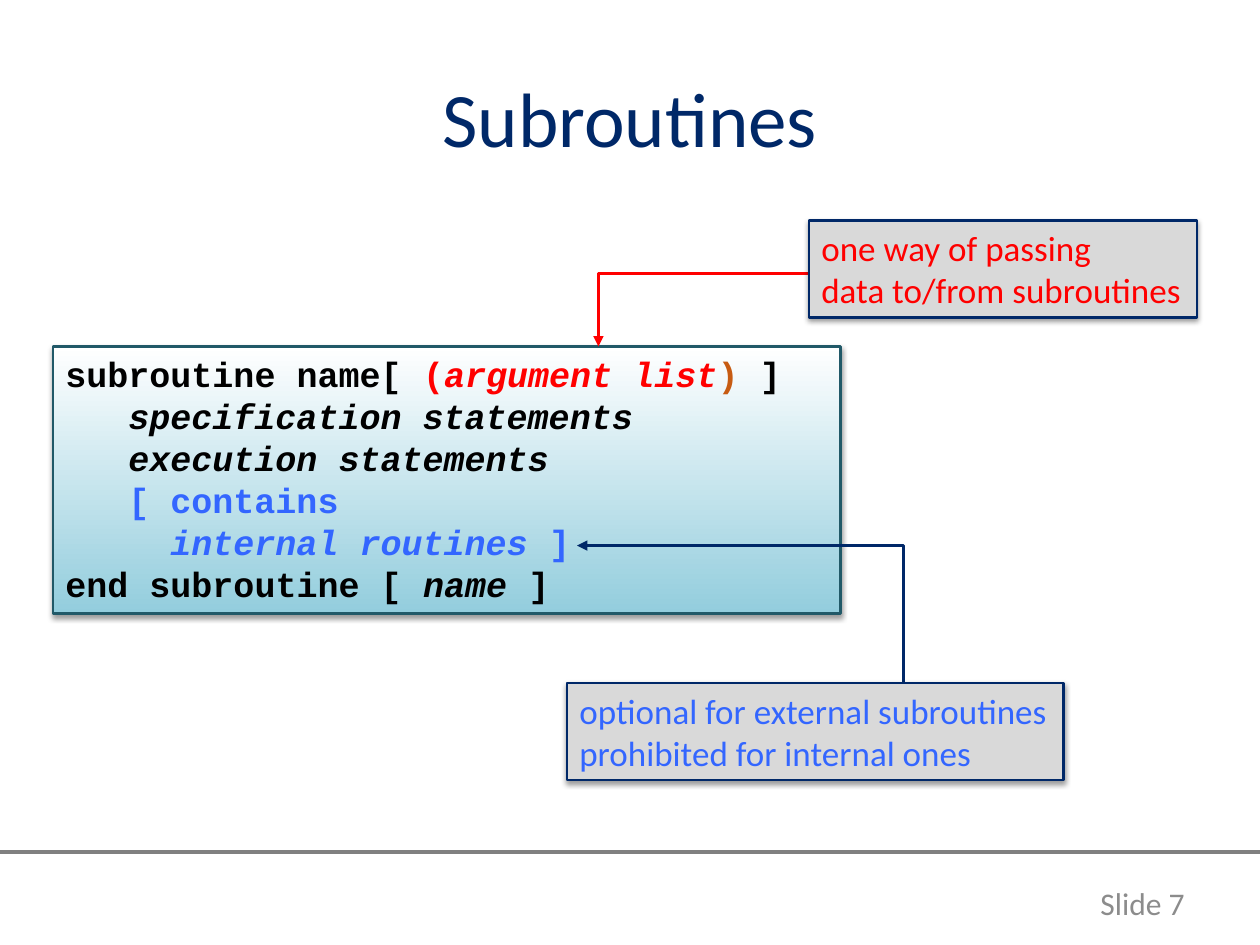
from lxml import etree
from pptx import Presentation
from pptx.dml.color import RGBColor
from pptx.enum.shapes import MSO_CONNECTOR, MSO_SHAPE
from pptx.enum.text import MSO_ANCHOR, MSO_AUTO_SIZE, PP_ALIGN
from pptx.oxml import parse_xml
from pptx.oxml.ns import nsdecls, qn
from pptx.util import Inches, Pt

NAVY = RGBColor(0x00, 0x28, 0x68)
BLACK = RGBColor(0x00, 0x00, 0x00)
WHITE = RGBColor(0xFF, 0xFF, 0xFF)
RED = RGBColor(0xFF, 0x00, 0x00)
ORANGE = RGBColor(0xC7, 0x5B, 0x12)
BLUE = RGBColor(0x33, 0x66, 0xFF)
AQUA = RGBColor(0x93, 0xCD, 0xDD)
TEAL = RGBColor(0x21, 0x59, 0x68)
LIGHT_GRAY = RGBColor(0xD9, 0xD9, 0xD9)
RULE_GRAY = RGBColor(0x80, 0x80, 0x80)
NUMBER_GRAY = RGBColor(0x8C, 0x8C, 0x8C)

BODY_FONT = "Calibri"
CODE_FONT = "Courier New"
CODE_CHAR = 12

CODE_LINES = [
    (0, [("subroutine name[ ", BLACK, False), ("(", RED, False),
         ("argument list", RED, True), (") ", ORANGE, False), ("]", BLACK, False)]),
    (3, [("specification statements", BLACK, True)]),
    (3, [("execution statements", BLACK, True)]),
    (3, [("[ contains", BLUE, False)]),
    (5, [("internal routines", BLUE, True), (" ]", BLUE, False)]),
    (0, [("end subroutine [ ", BLACK, False), ("name", BLACK, True), (" ]", BLACK, False)]),
]


def add_run(paragraph, text, color, size=20, font=BODY_FONT, bold=False, italic=False):
    run = paragraph.add_run()
    run.text = text
    run.font.name = font
    run.font.size = Pt(size)
    run.font.bold = bold
    run.font.italic = italic
    run.font.color.rgb = color


def add_panel(slide, box, line_color):
    panel = slide.shapes.add_shape(MSO_SHAPE.RECTANGLE, *map(Inches, box))
    panel.line.color.rgb = line_color
    panel.line.width = Pt(1.5)
    panel.shadow.inherit = False
    effects = panel._element.spPr.find(qn("a:effectLst"))
    effects.append(parse_xml(
        f'<a:outerShdw {nsdecls("a")} blurRad="{Pt(3.1)}" dist="{Pt(1.6)}" dir="5400000" '
        'rotWithShape="0"><a:srgbClr val="000000"><a:alpha val="38000"/></a:srgbClr></a:outerShdw>'))
    return panel


def write_lines(frame, count):
    frame.vertical_anchor = MSO_ANCHOR.TOP
    for _ in range(count - 1):
        frame.add_paragraph()
    for paragraph in frame.paragraphs:
        paragraph.alignment = PP_ALIGN.LEFT
    return frame.paragraphs


def add_code_panel(slide, box):
    panel = add_panel(slide, box, TEAL)
    panel.fill.gradient()
    panel.fill.gradient_angle = 90
    for stop, color in zip(panel.fill.gradient_stops, (AQUA, WHITE)):
        stop.color.rgb = color
    paragraphs = write_lines(panel.text_frame, len(CODE_LINES))
    for paragraph, (indent, runs) in zip(paragraphs, CODE_LINES):
        properties = paragraph._p.get_or_add_pPr()
        properties.set("marL", str(Pt(indent * CODE_CHAR)))
        properties.set("indent", "0")
        for text, color, italic in runs:
            add_run(paragraph, text, color, font=CODE_FONT, bold=True, italic=italic)
    panel.text_frame.word_wrap = True
    panel.text_frame.auto_size = MSO_AUTO_SIZE.SHAPE_TO_FIT_TEXT


def add_callout(slide, box, lines, color, wrap):
    panel = add_panel(slide, box, NAVY)
    panel.fill.solid()
    panel.fill.fore_color.rgb = LIGHT_GRAY
    for paragraph, text in zip(write_lines(panel.text_frame, len(lines)), lines):
        add_run(paragraph, text, color)
    panel.text_frame.word_wrap = wrap
    panel.text_frame.auto_size = MSO_AUTO_SIZE.SHAPE_TO_FIT_TEXT


def add_elbow_arrow(slide, tip, corner, end, color):
    points = [tuple(map(Inches, point)) for point in (tip, corner, end)]
    builder = slide.shapes.build_freeform(*points[0])
    builder.add_line_segments(points[1:], close=False)
    arrow = builder.convert_to_shape()
    arrow.fill.background()
    arrow.shadow.inherit = False
    arrow.line.color.rgb = color
    arrow.line.width = Pt(1.5)
    etree.SubElement(arrow.line._get_or_add_ln(), qn("a:headEnd"), type="triangle")


def add_title(slide, box):
    title = slide.shapes.title
    title.left, title.top, title.width, title.height = map(Inches, box)
    title.text_frame.vertical_anchor = MSO_ANCHOR.MIDDLE
    paragraph = title.text_frame.paragraphs[0]
    paragraph.alignment = PP_ALIGN.CENTER
    add_run(paragraph, "Subroutines", NAVY, size=44)


def add_footer(slide, rule_top, number_box):
    y = Inches(rule_top)
    rule = slide.shapes.add_connector(MSO_CONNECTOR.STRAIGHT, 0, y, Inches(10), y)
    rule.line.color.rgb = RULE_GRAY
    rule.line.width = Pt(2)
    etree.SubElement(rule._element.spPr, qn("a:effectLst"))
    number = slide.shapes.add_textbox(*map(Inches, number_box))
    number.text_frame.word_wrap = True
    number.text_frame.vertical_anchor = MSO_ANCHOR.MIDDLE
    paragraph = number.text_frame.paragraphs[0]
    paragraph.alignment = PP_ALIGN.RIGHT
    add_run(paragraph, "Slide 7", NUMBER_GRAY, size=18)


def build_slide(presentation):
    slide = presentation.slides.add_slide(presentation.slide_layouts[5])
    add_footer(slide, 6.76, (8.41, 6.97, 1.09, 0.4))
    add_title(slide, (0.5, 0.3, 9, 1.25))
    add_code_panel(slide, (0.42, 2.75, 6.25, 2.12))
    add_elbow_arrow(slide, (4.58, 4.33), (7.17, 4.33), (7.17, 5.42), NAVY)
    add_callout(slide, (4.5, 5.42, 3.94, 0.77),
                ("optional for external subroutines", "prohibited for internal ones"), BLUE, False)
    add_elbow_arrow(slide, (4.75, 2.75), (4.75, 2.17), (6.42, 2.17), RED)
    add_callout(slide, (6.42, 1.75, 3.08, 0.77),
                ("one way of passing", "data to/from subroutines"), RED, True)


presentation = Presentation()
presentation.slide_width = Inches(10)
presentation.slide_height = Inches(7.5)
build_slide(presentation)
presentation.save("out.pptx")
